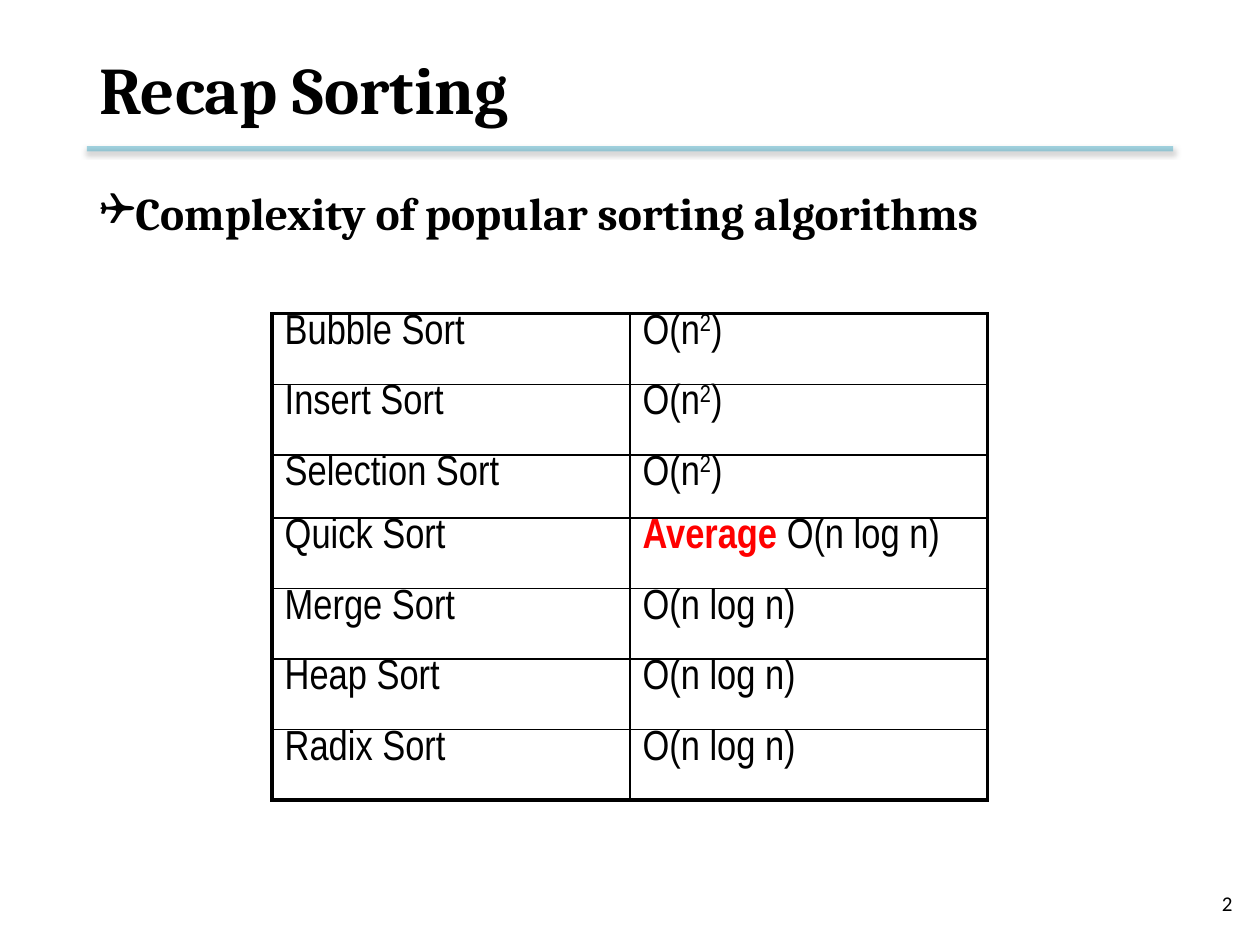
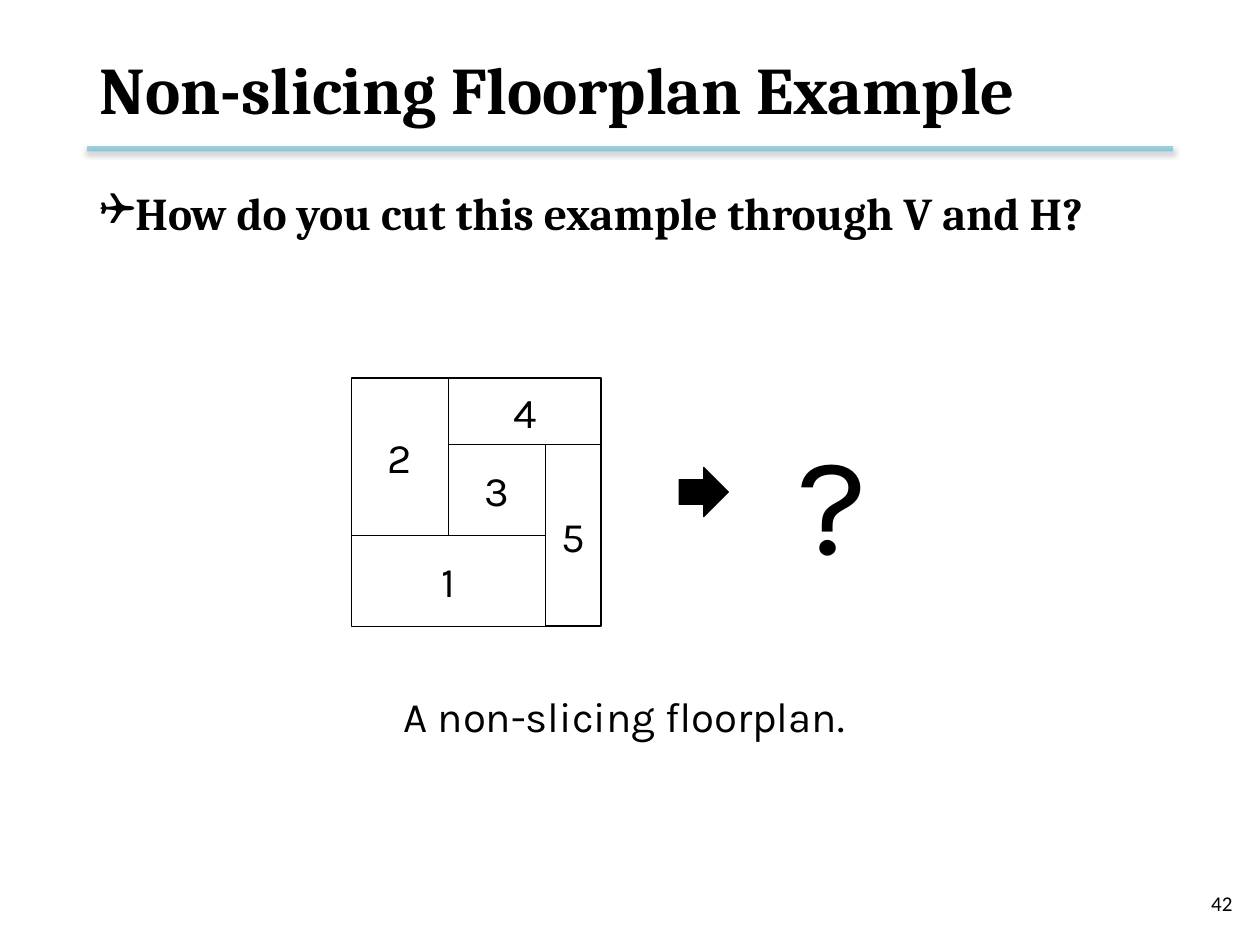
from dataclasses import dataclass
from lxml.etree import SubElement as Sub
from pptx import Presentation
from pptx.dml.color import RGBColor as Rgb
from pptx.enum.shapes import MSO_CONNECTOR as Link, MSO_SHAPE as Form
from pptx.enum.text import MSO_ANCHOR as Anchor, MSO_AUTO_SIZE as Fit, PP_ALIGN as Align
from pptx.oxml.ns import qn
from pptx.util import Pt

PX = 9144  # EMU in one px, 100 px to the inch


# Colours, fonts and type sizes
@dataclass(frozen=True)
class Theme:
    ink: str = "000000"
    rule: str = "4BACC6"
    hot: str = "FF0000"
    serif: str = "Cambria"
    grid: str = "Arial Narrow"
    plan: str = "Karla"
    foot: str = "Calibri"
    title: int = 38
    lead: int = 26
    text: int = 24
    page: int = 12
    mark: int = 80
    thin: float = 0.75
    inner: float = 1
    outer: float = 2.25


def node(top, tag, **attrs):
    return Sub(top, qn(tag), {key: str(val) for key, val in attrs.items()})


class Deck:
    def __init__(self, theme):
        self.theme = theme
        self.show = Presentation()
        self.show.slide_width, self.show.slide_height = 1000 * PX, 750 * PX
        self.slide = None

    def font(self, para, face, size, bold=False, align=Align.LEFT):
        para.alignment = align
        font = para.font
        font.name, font.size, font.bold = face, Pt(size), bold
        font.color.rgb = Rgb.from_string(self.theme.ink)

    # Title, rule, lead line and page number
    def page(self, title, lead, num):
        look = self.theme
        self.slide = self.show.slides.add_slide(self.show.slide_layouts[5])
        head = self.slide.shapes.title
        head.left, head.top, head.width, head.height = (
            n * PX for n in (69, 17, 862, 106))
        frame = head.text_frame
        frame.text = title
        frame.auto_size = Fit.NONE
        frame.vertical_anchor = Anchor.MIDDLE
        self.font(frame.paragraphs[0], look.serif, look.title, True)
        self.rule(69, 118, 931)
        self.text(lead, (69, 142, 862, 510), look.serif, look.lead,
                  bold=True, bullet="❑")
        self.text(num, (755, 697, 233, 40), look.foot, look.page,
                  align=Align.RIGHT, anchor=Anchor.MIDDLE)

    def rule(self, left, top, right):
        line = self.slide.shapes.add_connector(
            Link.STRAIGHT, left * PX, top * PX, right * PX, top * PX)
        line.line.width = Pt(3)
        line.line.color.rgb = Rgb.from_string(self.theme.rule)
        props = line._element.spPr
        node(props.find(".//" + qn("a:srgbClr")), "a:alpha", val=50000)
        glow = node(node(props, "a:effectLst"), "a:outerShdw", blurRad=Pt(3.1),
                    dist=Pt(1.6), dir=5400000, rotWithShape=0)
        tint = node(glow, "a:srgbClr", val=self.theme.ink)
        node(tint, "a:alpha", val=38000)

    def text(self, words, box, face, size, bold=False, align=Align.LEFT,
             anchor=Anchor.TOP, bullet=None):
        frame = self.slide.shapes.add_textbox(*(n * PX for n in box)).text_frame
        frame.word_wrap = True
        frame.vertical_anchor = anchor
        frame.text = words
        para = frame.paragraphs[0]
        if bullet:
            props = para._p.get_or_add_pPr()
            props.set("marL", str(25 * PX))
            props.set("indent", str(-45 * PX))
            node(props, "a:buFont", typeface="Wingdings")
            node(props, "a:buChar", char=bullet)
        self.font(para, face, size, bold, align)

    def shape(self, form, box, words="", fill=None):
        look = self.theme
        item = self.slide.shapes.add_shape(form, *(n * PX for n in box))
        item.shadow.inherit = False
        if fill:
            item.fill.solid()
            item.fill.fore_color.rgb = Rgb.from_string(fill)
        else:
            item.fill.background()
        item.line.width = Pt(look.thin)
        item.line.color.rgb = Rgb.from_string(look.ink)
        if words:
            frame = item.text_frame
            frame.word_wrap = False
            frame.vertical_anchor = Anchor.MIDDLE
            frame.text = words
            self.font(frame.paragraphs[0], look.plan, look.text,
                      align=Align.CENTER)

    # Rows of cells; each cell is a list of (words, kind) runs
    def table(self, left, top, wide, tall, rows):
        ends = len(rows) - 1, len(rows[0]) - 1
        table = self.slide.shapes.add_table(
            len(rows), len(rows[0]), left * PX, top * PX,
            wide * len(rows[0]) * PX, sum(tall) * PX).table
        table.first_row = table.horz_banding = False
        for col in table.columns:
            col.width = wide * PX
        for y, row in enumerate(rows):
            table.rows[y].height = tall[y] * PX
            for x, runs in enumerate(row):
                cell = table.cell(y, x)
                edge = {"L": x == 0, "R": x == ends[1],
                        "T": y == 0, "B": y == ends[0]}
                self.cell(cell, runs, edge)

    def cell(self, cell, runs, edge):
        look = self.theme
        cell.margin_top = 0
        props = cell._tc.get_or_add_tcPr()
        for side, rim in edge.items():
            line = node(props, "a:ln" + side,
                        w=Pt(look.outer if rim else look.inner))
            node(node(line, "a:solidFill"), "a:srgbClr", val=look.ink)
        cell.fill.background()
        para = cell.text_frame.paragraphs[0]
        self.font(para, look.grid, look.text)
        for words, kind in runs:
            run = para.add_run()
            run.text = words
            if kind == "sup":
                run._r.get_or_add_rPr().set("baseline", "30000")
            elif kind == "hot":
                run.font.bold = True
                run.font.color.rgb = Rgb.from_string(look.hot)


def sorts(deck):
    deck.page("Recap Sorting", "Complexity of popular sorting algorithms", "2")
    square = [("O(n", ""), ("2", "sup"), (")", "")]
    log = [("O(n log n)", "")]
    mean = [("Average", "hot"), (" O(n log n)", "")]
    costs = {"Bubble": square, "Insert": square, "Selection": square,
             "Quick": mean, "Merge": log, "Heap": log, "Radix": log}
    rows = [([(name + " Sort", "")], cost) for name, cost in costs.items()]
    tall = [50 if name == "Selection" else 56 for name in costs]
    deck.table(216, 249, 284, tall, rows)


def floor(deck):
    look = deck.theme
    deck.page("Non-slicing Floorplan Example",
              "How do you cut this example through V and H?", "42")
    deck.text("A non-slicing floorplan.", (224, 543, 543, 50), look.plan,
              look.text, align=Align.CENTER)
    # Rooms as left, top, right, bottom cuts
    xs, ys = (279, 356, 433, 477), (300, 353, 425, 497)
    rooms = [(0, 2, 2, 3), (0, 0, 1, 2), (1, 1, 2, 2), (1, 0, 3, 1), (2, 1, 3, 3)]
    for num, (x, y, right, low) in enumerate(rooms, 1):
        box = xs[x], ys[y], xs[right] - xs[x], ys[low] - ys[y]
        deck.shape(Form.RECTANGLE, box, str(num))
    deck.shape(Form.RIGHT_ARROW, (539, 371, 39, 39), fill=look.ink)
    deck.text("?", (602, 324, 118, 143), look.plan, look.mark,
              align=Align.CENTER)


def main():
    deck = Deck(Theme())
    sorts(deck)
    floor(deck)
    deck.show.save("out.pptx")


if __name__ == "__main__":
    main()
